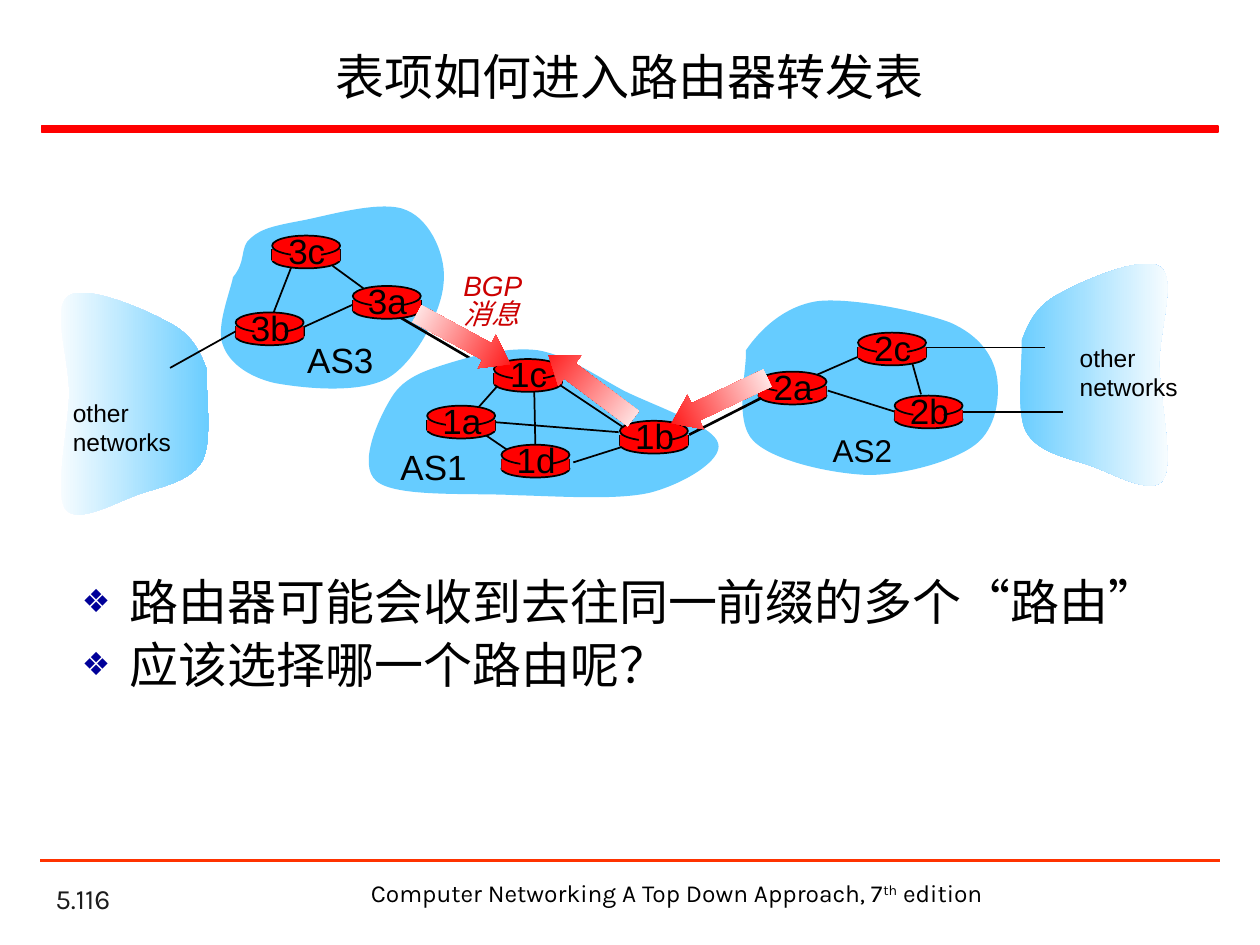
from pptx import Presentation
from pptx.util import Inches, Pt
from pptx.dml.color import RGBColor
from pptx.enum.shapes import MSO_SHAPE, MSO_CONNECTOR
from pptx.enum.text import PP_ALIGN, MSO_ANCHOR, MSO_AUTO_SIZE
from pptx.oxml.xmlchemy import OxmlElement

# Content
TITLE = "表项如何进入路由器转发表"
BULLETS = ["路由器可能会收到去往同一前缀的多个“路由”", "应该选择哪一个路由呢？"]
RED, BLUE, WHITE, BLACK = "FF0000", "66CCFF", "FFFFFF", "000000"
OTHER = ["other", "networks"]

# Clouds: a start point, then three points for each curve
EDGE = [(8.11, 2.7), (8.17, 2.54), (8.24, 2.41), (8.43, 2.32), (8.61, 2.22), (9.08, 2.02),
        (9.21, 2.12), (9.34, 2.21), (9.2, 2.62), (9.2, 2.9), (9.21, 3.19), (9.32, 3.68),
        (9.23, 3.81), (9.14, 3.94), (8.82, 3.75), (8.64, 3.69), (8.46, 3.63), (8.23, 3.59),
        (8.14, 3.42), (8.06, 3.26), (8.12, 2.85), (8.11, 2.7)]
MIRROR = [(9.75 - x, y + 0.23) for x, y in EDGE]
AS1 = [(3.11, 3.15), (3.21, 2.99), (3.38, 2.94), (3.57, 2.88), (3.77, 2.82), (4.04, 2.75),
       (4.27, 2.78), (4.5, 2.82), (4.71, 2.97), (4.95, 3.1), (5.19, 3.22), (5.67, 3.38),
       (5.7, 3.52), (5.74, 3.65), (5.43, 3.84), (5.16, 3.91), (4.9, 3.97), (4.46, 3.94),
       (4.09, 3.93), (3.73, 3.91), (3.15, 3.95), (2.99, 3.82), (2.83, 3.69), (3.01, 3.31),
       (3.11, 3.15)]
AS2 = [(5.92, 2.78), (6.03, 2.62), (6.22, 2.43), (6.49, 2.39), (6.76, 2.36), (7.3, 2.47),
       (7.54, 2.56), (7.77, 2.66), (7.88, 2.82), (7.91, 2.98), (7.94, 3.14), (7.91, 3.4),
       (7.74, 3.53), (7.57, 3.66), (7.18, 3.77), (6.89, 3.77), (6.6, 3.76), (6.14, 3.66),
       (5.98, 3.5), (5.82, 3.34), (5.93, 2.93), (5.92, 2.78)]
AS3 = [(1.85, 2.2), (1.96, 2.07), (1.9, 1.96), (1.99, 1.89), (2.08, 1.81), (2.19, 1.79),
       (2.4, 1.75), (2.61, 1.71), (3.04, 1.58), (3.23, 1.67), (3.42, 1.75), (3.55, 2.04),
       (3.52, 2.26), (3.5, 2.48), (3.3, 2.87), (3.08, 3), (2.85, 3.13), (2.4, 3.08),
       (2.18, 3.04), (1.97, 2.99), (1.82, 2.88), (1.77, 2.74), (1.71, 2.6), (1.83, 2.31),
       (1.85, 2.2)]

# Networks from back to front: cloud, links (ends and width), routers, label
NETS = [
    (AS3, [(2.4, 2.6, 2.84, 2.4, 1), (3.16, 2.51, 3.93, 2.96, 1.5), (2.9, 2.3, 2.64, 2.11, 1),
           (2.32, 2.1, 2.16, 2.51, 1)],
     {"3b": (1.87, 2.48), "3c": (2.16, 1.87), "3a": (2.8, 2.27)},
     ("AS3", 20, (2.34, 2.64, 0.73, 0.44))),
    (AS1, [(3.96, 3.05, 3.8, 3.23, 1), (4.24, 3.09, 4.25, 3.59, 1), (4.42, 3.04, 4.96, 3.4, 1),
           (4.96, 3.54, 4.55, 3.67, 1), (4.91, 3.43, 3.92, 3.35, 1), (3.82, 3.43, 4.04, 3.58, 1)],
     {"1c": (3.92, 2.85), "1a": (3.39, 3.22), "1d": (3.98, 3.53), "1b": (4.92, 3.34)},
     ("AS1", 20, (3.08, 3.49, 0.73, 0.44))),
    (AS2, [(6.38, 3.02, 6.86, 2.81, 1), (7.35, 2.76, 8.29, 2.76, 0.75),
           (7.63, 3.27, 8.44, 3.27, 0.75), (6.57, 3.1, 7.11, 3.27, 1),
           (7.24, 2.88, 7.31, 3.13, 1)],
     {"2a": (6.02, 2.95), "2c": (6.81, 2.64), "2b": (7.1, 3.14)},
     ("AS2", 18, (6.51, 3.37, 0.68, 0.4))),
]
OUTER = [(1.87, 2.63, 1.35, 2.92, 1), (5.47, 3.45, 6.04, 3.16, 1.5)]
ARROWS = [(3.26, 2.54, 208.5), (5.29, 3.03, 334.7), (4.27, 2.92, 36.9)]

deck = Presentation()
deck.slide_width, deck.slide_height = Inches(10), Inches(7.5)
slide = deck.slides.add_slide(deck.slide_layouts[1])
shapes = slide.shapes


def hue(code):
    return RGBColor.from_string(code)


def style(font, code=BLACK, **form):
    font.color.rgb = hue(code)
    for key, val in form.items():
        setattr(font, key, val)


def place(item, box):
    for key, val in zip(("left", "top", "width", "height"), box):
        setattr(item, key, Inches(val))


def paint(item, code, edge=None):
    item.shadow.inherit = False
    if isinstance(code, tuple):
        item.fill.gradient()
        item.fill.gradient_angle = 0
        for stop, tone in zip(item.fill.gradient_stops, code):
            stop.color.rgb = hue(tone)
    else:
        item.fill.solid()
        item.fill.fore_color.rgb = hue(code)
    if edge:
        item.line.color.rgb = hue(edge)
        item.line.width = Pt(1)
    else:
        item.line.fill.background()


def block(on, kind, box, code, edge=None):
    item = on.add_shape(kind, *map(Inches, box))
    paint(item, code, edge)
    return item


def link(on, x1, y1, x2, y2, width, code=BLACK):
    line = on.add_connector(MSO_CONNECTOR.STRAIGHT, *map(Inches, (x1, y1, x2, y2)))
    line.line.color.rgb = hue(code)
    line.line.width = Pt(width)
    line._element.spPr.append(OxmlElement("a:effectLst"))


def label(on, lines, box, size, align=PP_ALIGN.LEFT, space=1.0, wrap=False, face="Arial", **form):
    frame = on.add_textbox(*map(Inches, box)).text_frame
    frame.word_wrap = wrap
    for i, line in enumerate(lines):
        para = frame.paragraphs[0] if i == 0 else frame.add_paragraph()
        para.alignment, para.line_spacing = align, space
        run = para.add_run()
        run.text = line
        style(run.font, size=Pt(size), name=face, **form)
    return frame


def cloud(points, code):
    spots = [(Inches(x), Inches(y)) for x, y in points]
    pen = shapes.build_freeform(*spots[0])
    pen.add_line_segments(spots[1:], close=True)
    item = pen.convert_to_shape()
    paint(item, code)
    # Turn each three straight steps into one curve
    steps = item._element.xpath(".//a:lnTo")
    for i in range(0, len(steps), 3):
        curve = OxmlElement("a:cubicBezTo")
        steps[i].addprevious(curve)
        for step in steps[i:i + 3]:
            curve.append(step[0])
            step.getparent().remove(step)


def router(name, x, y):
    on = shapes.add_group_shape().shapes
    block(on, MSO_SHAPE.OVAL, (x, y + 0.12, 0.54, 0.14), RED, BLACK)
    for side in (x, x + 0.54):
        link(on, side, y + 0.11, side, y + 0.19, 1)
    block(on, MSO_SHAPE.RECTANGLE, (x, y + 0.11, 0.54, 0.09), RED)
    block(on, MSO_SHAPE.OVAL, (x, y, 0.54, 0.16), RED, BLACK)
    block(on, MSO_SHAPE.RECTANGLE, (x + 0.15, y + 0.02, 0.24, 0.21), RED)
    label(on, [name], (x + 0.02, y - 0.1, 0.51, 0.44), 20, PP_ALIGN.CENTER)


# Frame of the slide
block(shapes, MSO_SHAPE.RECTANGLE, (0.33, 1, 9.34, 0.05), RED, RED)
link(shapes, 0.32, 6.83, 9.68, 6.83, 1.5, "FF3300")
page = label(shapes, ["5.116"], (0.34, 6.98, 2.08, 0.33), 16, wrap=True, face="Karla", code="1C1C1C")
page.vertical_anchor = MSO_ANCHOR.BOTTOM
foot = label(shapes, ["Computer Networking A Top Down Approach, 7"], (2.83, 6.92, 5.08, 0.34), 14,
             PP_ALIGN.CENTER, wrap=True, face="Karla")
for text, base in (("th", "30000"), (" edition", "0")):
    run = foot.paragraphs[0].add_run()
    run.text = text
    style(run.font, size=Pt(14), name="Karla")
    run._r.get_or_add_rPr().set("baseline", base)

# Title
title = shapes.title
place(title, (0.37, 0.25, 9.25, 0.7))
title.text_frame.text = TITLE
title.text_frame.vertical_anchor = MSO_ANCHOR.MIDDLE
title.text_frame.auto_size = MSO_AUTO_SIZE.NONE
head = title.text_frame.paragraphs[0]
head.alignment = PP_ALIGN.CENTER
style(head.runs[0].font, size=Pt(28), name="Karla")

# Networks
cloud(EDGE, (BLUE, WHITE))
cloud(MIRROR, (WHITE, BLUE))
for area, links, nodes, (name, size, box) in NETS:
    cloud(area, BLUE)
    for ends in links:
        link(shapes, *ends)
    for node, spot in nodes.items():
        router(node, *spot)
    label(shapes, [name], box, size)
for ends in OUTER:
    link(shapes, *ends)
for x, y in ((8.47, 2.67), (0.48, 3.11)):
    label(shapes, OTHER, (x, y, 0.99, 0.57), 14)

# Messages between routers
for x, y, turn in ARROWS:
    arrow = block(shapes, MSO_SHAPE.LEFT_ARROW, (x, y, 0.84, 0.3), (RED, WHITE))
    arrow.adjustments[0], arrow.adjustments[1] = 0.5, 0.7
    arrow.rotation = turn
label(shapes, ["BGP", "消息"], (3.58, 2.12, 0.73, 0.56), 16, space=0.85, code="CC0000", italic=True)

# Bullets
body = slide.placeholders[1]
place(body, (0.55, 4.54, 8.75, 1.36))
body.text_frame.text = "\n".join(BULLETS)
body.text_frame.auto_size = MSO_AUTO_SIZE.NONE
for i, para in enumerate(body.text_frame.paragraphs):
    props = para._p.get_or_add_pPr()
    props.set("marL", str(Inches(0.38)))
    props.set("indent", str(-Inches(0.38)))
    tint, tone = OxmlElement("a:buClr"), OxmlElement("a:srgbClr")
    tone.set("val", "000099")
    tint.append(tone)
    props.append(tint)
    for tag, key, val in (("a:buSzPct", "val", "65000"), ("a:buChar", "char", "❖")):
        mark = OxmlElement(tag)
        mark.set(key, val)
        props.append(mark)
    para.line_spacing, para.space_before = 0.9, Pt(5.6 if i else 0)
    style(para.runs[0].font, size=Pt(28), name="Arial")

deck.save("out.pptx")
